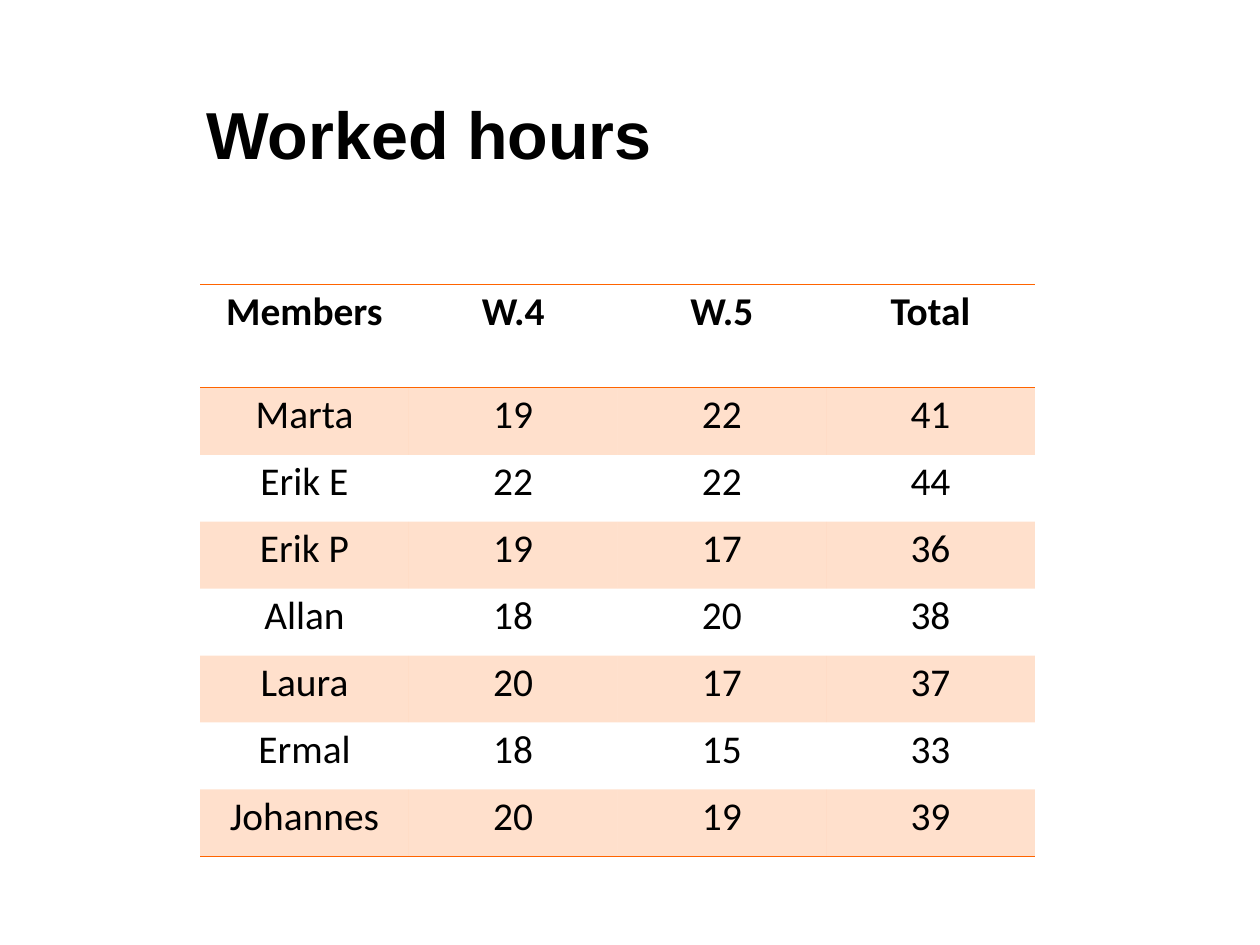
"""Build the worked hours slide with its table of members and weeks."""
from dataclasses import dataclass

from lxml import etree
from pptx import Presentation
from pptx.dml.color import RGBColor
from pptx.enum.text import MSO_ANCHOR, PP_ALIGN
from pptx.oxml.ns import qn
from pptx.slide import Slide
from pptx.table import _Cell
from pptx.text.text import TextFrame
from pptx.util import Inches, Pt

BLACK = RGBColor(0x00, 0x00, 0x00)
WHITE = RGBColor(0xFF, 0xFF, 0xFF)
ORANGE = RGBColor(0xFF, 0x64, 0x00)
LEFT, CENTER = PP_ALIGN.LEFT, PP_ALIGN.CENTER
MIDDLE = MSO_ANCHOR.MIDDLE
NO_GRID = "{2D5ABB26-0587-4C30-8999-92F81FD0307C}"

TITLE = {"name": "Arial", "size": Pt(54), "bold": True}
HEAD = {"name": "Calibri", "size": Pt(32), "bold": True}
BODY = {**HEAD, "bold": False}
INSETS = {
    "margin_left": Inches(0.07),
    "margin_right": Inches(0.07),
    "margin_top": Inches(0.04),
    "margin_bottom": Inches(0.04),
}


@dataclass(frozen=True)
class Member:
    """Hours of one member in each week."""

    name: str
    hours: tuple[int, ...]

    def texts(self) -> list[str]:
        """Return the cell texts of the row, with the total last."""
        return [self.name, *map(str, self.hours), str(sum(self.hours))]


HEADS = ["Members", "W.4", "W.5", "Total"]
TEAM = [
    Member("Marta", (19, 22)),
    Member("Erik E", (22, 22)),
    Member("Erik P", (19, 17)),
    Member("Allan", (18, 20)),
    Member("Laura", (20, 17)),
    Member("Ermal", (18, 15)),
    Member("Johannes", (20, 19)),
]


def apply(target: object, values: dict) -> None:
    """Set each format value on the target."""
    for key, value in values.items():
        setattr(target, key, value)


def write(frame: TextFrame, text: str, style: dict, align: PP_ALIGN) -> None:
    """Write one styled line into the frame."""
    para = frame.paragraphs[0]
    para.alignment = align
    run = para.add_run()
    run.text = text
    apply(run.font, style)
    run.font.color.rgb = BLACK


def shade(cell: _Cell, banded: bool) -> None:
    """Fill the cell with light orange or leave it clear."""
    if not banded:
        cell.fill.background()
        return
    cell.fill.solid()
    cell.fill.fore_color.rgb = ORANGE
    color = cell._tc.tcPr.find(".//" + qn("a:srgbClr"))
    etree.SubElement(color, qn("a:alpha"), val="20000")


def rule(cell: _Cell, sides: list[str]) -> None:
    """Draw an orange line on the given sides of the cell."""
    for spot, side in enumerate(sides):
        line = etree.Element(qn(f"a:ln{side}"), w=str(Pt(1)))
        fill = etree.SubElement(line, qn("a:solidFill"))
        etree.SubElement(fill, qn("a:srgbClr"), val=str(ORANGE))
        cell._tc.get_or_add_tcPr().insert(spot, line)


def add_title(slide: Slide) -> None:
    """Add the slide title."""
    box = slide.shapes.add_textbox(Inches(2.23), Inches(0.77), Inches(11.99), Inches(1.45))
    apply(box.text_frame, {"word_wrap": True, "vertical_anchor": MIDDLE})
    write(box.text_frame, "Worked hours", TITLE, LEFT)


def add_hours(slide: Slide) -> None:
    """Add the table of hours."""
    rows = [HEADS, *(member.texts() for member in TEAM)]
    frame = slide.shapes.add_table(
        len(rows), len(HEADS), Inches(2.26), Inches(3.21), Inches(9.42), Inches(6.46)
    )
    table = frame.table
    apply(table, {"first_row": False, "horz_banding": False})
    table._tbl.tblPr.find(qn("a:tableStyleId")).text = NO_GRID
    last = len(rows) - 1
    for y, texts in enumerate(rows):
        table.rows[y].height = Inches(5.29 / len(TEAM)) if y else Inches(1.17)
        sides = ["T", "B"] if y == 0 else ["B"] if y == last else []
        for x, text in enumerate(texts):
            cell = table.cell(y, x)
            apply(cell, INSETS)
            write(cell.text_frame, text, BODY if y else HEAD, CENTER)
            shade(cell, y % 2 == 1)
            rule(cell, sides)


def main() -> None:
    """Build and save the deck."""
    deck = Presentation()
    apply(deck, {"slide_width": Inches(14.22), "slide_height": Inches(10.67)})
    slide = deck.slides.add_slide(deck.slide_layouts[6])
    slide.background.fill.solid()
    slide.background.fill.fore_color.rgb = WHITE
    add_title(slide)
    add_hours(slide)
    deck.save("out.pptx")


if __name__ == "__main__":
    main()
